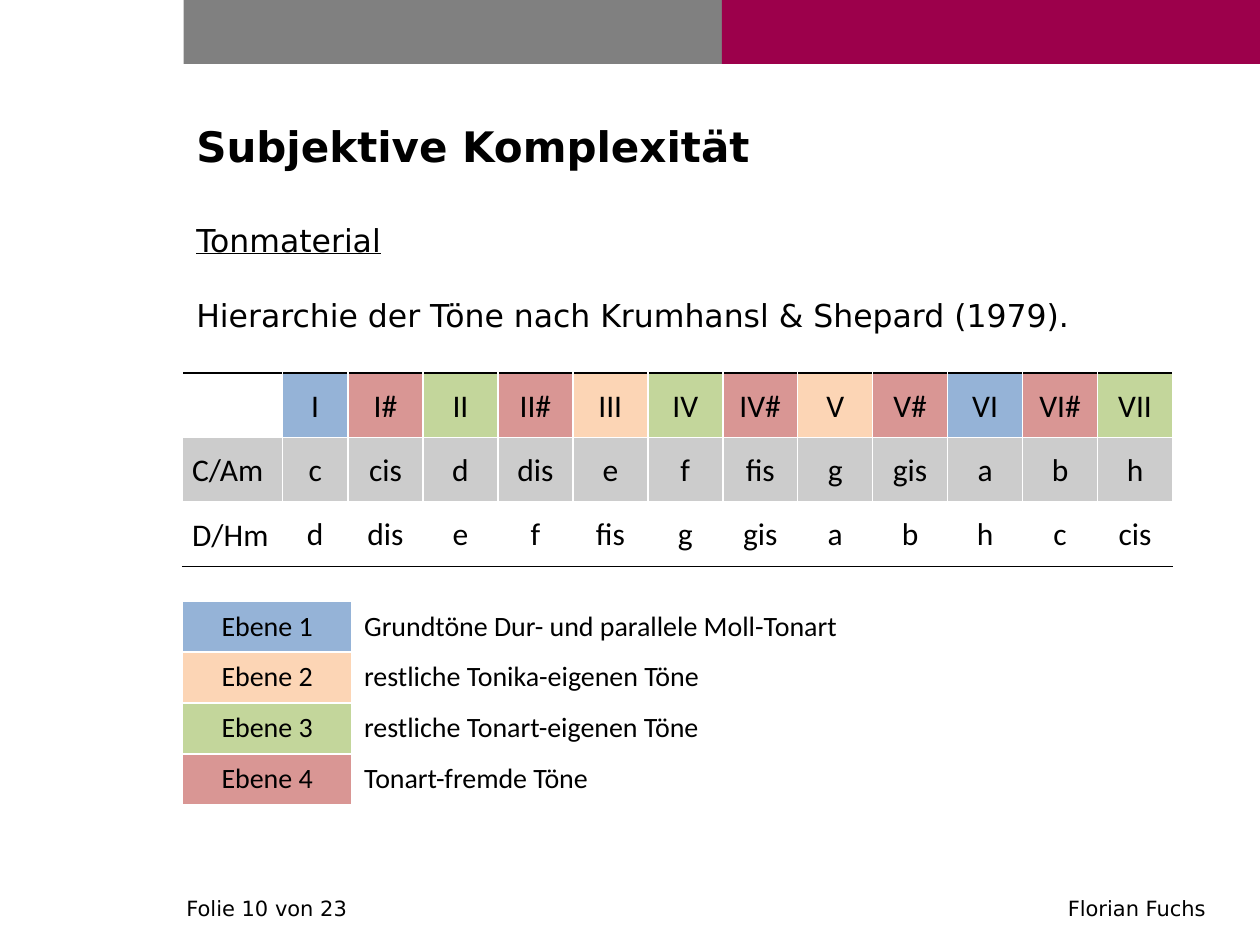
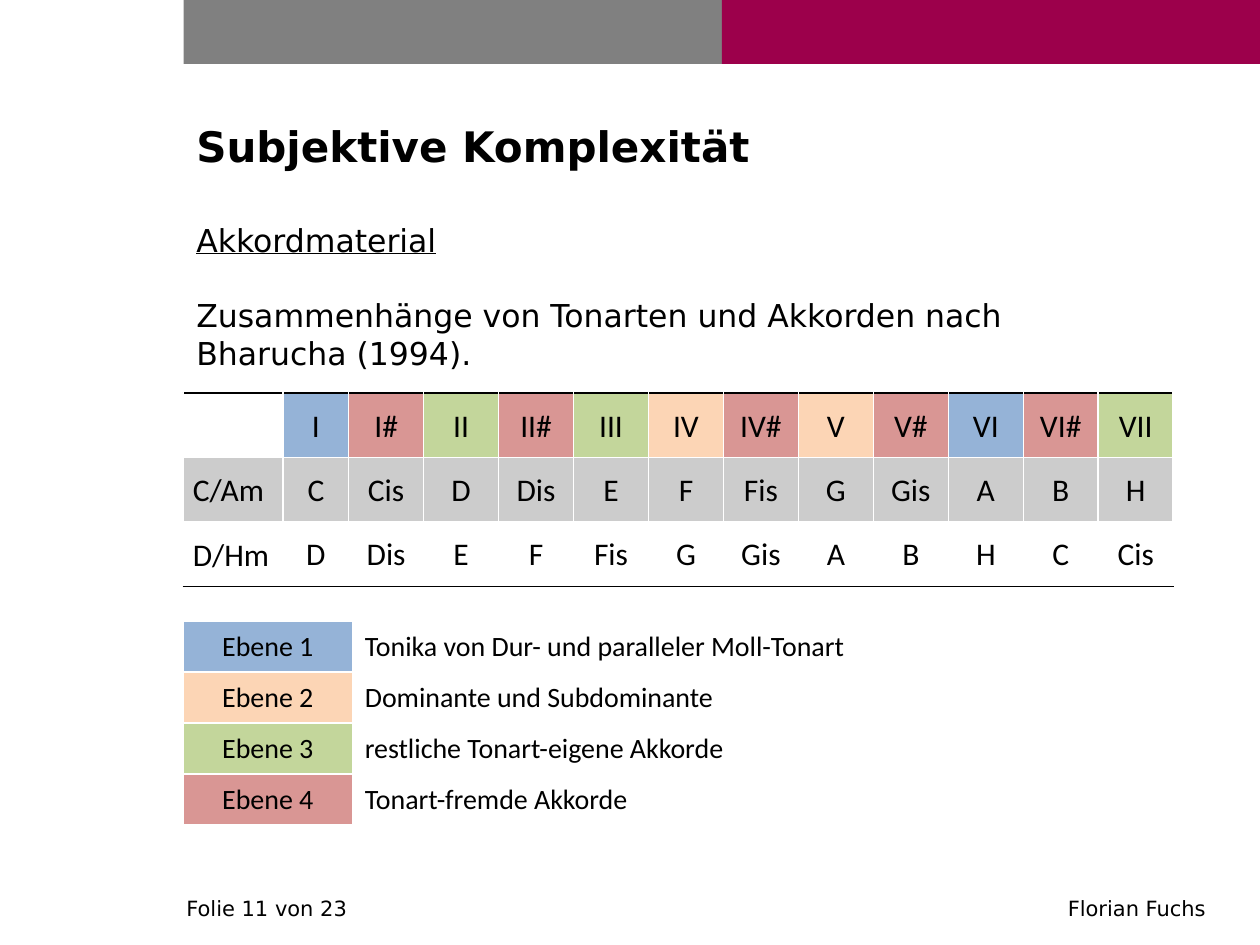
"""Build two slides on tone and chord levels, each with a scale table and a legend."""
import pptx
import pptx.dml.color
import pptx.enum.shapes
import pptx.enum.text
import pptx.oxml
import pptx.oxml.ns
import pptx.util

Pt = pptx.util.Pt
RGB = pptx.dml.color.RGBColor.from_string
ALIGN = pptx.enum.text.PP_ALIGN
MIDDLE = pptx.enum.text.MSO_ANCHOR.MIDDLE
NONE = pptx.enum.text.MSO_AUTO_SIZE.NONE
NS = pptx.oxml.ns.nsdecls("a")
HEX = {
    "black": "000000", "white": "FFFFFF", "gray": "808080", "wine": "9C004B",
    "1": "95B3D7", "2": "FCD5B5", "3": "C3D69B", "4": "D99694",
}
LEFT, WIDE = 105, 566.4
ROW, STEP = 36.9, 29.15
COLS = [57, 37.5] + [42.85] * 11
STEPS = "I I# II II# III IV IV# V V# VI VI# VII".split()
TONES = "c cis d dis e f fis g gis a b h".split()
TITLE = "Subjektive Komplexität"

PAGES = [
    {
        "num": 10, "head": "Tonmaterial", "top": 213.1, "left": 104.4,
        "text": "Hierarchie der Töne nach Krumhansl & Shepard (1979).",
        "tones": TONES, "ranks": "143423424143",
        "keys": ["Grundtöne Dur- und parallele Moll-Tonart", "restliche Tonika-eigenen Töne",
                 "restliche Tonart-eigenen Töne", "Tonart-fremde Töne"],
    },
    {
        "num": 11, "head": "Akkordmaterial", "top": 224.6, "left": 104.8,
        "text": "Zusammenhänge von Tonarten und Akkorden nach Bharucha (1994).",
        "tones": [tone.capitalize() for tone in TONES], "ranks": "143432424143",
        "keys": ["Tonika von Dur- und paralleler Moll-Tonart", "Dominante und Subdominante",
                 "restliche Tonart-eigene Akkorde", "Tonart-fremde Akkorde"],
    },
]


def write(para, text, size=18, font="DejaVu Sans", bold=False, line=False,
          align=ALIGN.LEFT, lead=1, gap=0):
    para.alignment, para.line_spacing, para.space_before = align, lead, Pt(gap)
    run = para.add_run()
    run.text = text
    run.font.size, run.font.name = Pt(size), font
    run.font.bold, run.font.underline = bold, line
    run.font.color.rgb = RGB(HEX["black"])


def paint(cell, fill=None, alpha=None, top="white", base="white"):
    cell.vertical_anchor = MIDDLE
    if fill:
        cell.fill.solid()
        cell.fill.fore_color.rgb = RGB(HEX[fill])
    else:
        cell.fill.background()
    props = cell._tc.get_or_add_tcPr()
    if alpha:
        tint = props.find(".//" + pptx.oxml.ns.qn("a:srgbClr"))
        tint.append(pptx.oxml.parse_xml(f'<a:alpha {NS} val="{alpha * 1000}"/>'))
    sides = {"lnL": "white", "lnR": "white", "lnT": top, "lnB": base}
    for spot, (side, tone) in enumerate(sides.items()):
        props.insert(spot, pptx.oxml.parse_xml(
            f'<a:{side} {NS} w="{Pt(1)}"><a:solidFill><a:srgbClr val="{HEX[tone]}"/>'
            f'</a:solidFill></a:{side}>'))


deck = pptx.Presentation()
deck.slide_width, deck.slide_height = Pt(720), Pt(540)

for page in PAGES:
    slide = deck.slides.add_slide(deck.slide_layouts[1])
    shapes = slide.shapes

    for spot, tone in enumerate(["gray", "wine"]):
        band = shapes.add_shape(pptx.enum.shapes.MSO_SHAPE.RECTANGLE,
                                Pt(LEFT + spot * 307.5), Pt(0), Pt(307.5), Pt(36.5))
        band.shadow.inherit = False
        band.fill.solid()
        band.fill.fore_color.rgb = RGB(HEX[tone])
        band.line.fill.background()

    foot = shapes.add_textbox(Pt(99.4), Pt(508.3), Pt(601), Pt(21.6)).text_frame
    foot.word_wrap = True
    write(foot.paragraphs[0], f"Folie {page['num']} von 23\tFlorian Fuchs", size=12)
    foot.paragraphs[0]._p.get_or_add_pPr().append(pptx.oxml.parse_xml(
        f'<a:tabLst {NS}><a:tab pos="{Pt(503.7)}" algn="l"/></a:tabLst>'))

    title, body = shapes.title, slide.placeholders[1]
    for box, top, high in [(title, 66.2, 33.8), (body, 122.4, 374.4)]:
        box.left, box.top, box.width, box.height = Pt(LEFT), Pt(top), Pt(WIDE), Pt(high)
        box.text_frame.auto_size = NONE
    title.text_frame.vertical_anchor = MIDDLE
    write(title.text_frame.paragraphs[0], TITLE, size=24, bold=True)
    write(body.text_frame.paragraphs[0], page["head"], line=True)
    write(body.text_frame.add_paragraph(), page["text"], gap=21.5)
    for para in body.text_frame.paragraphs:
        props = para._p.get_or_add_pPr()
        props.set("marL", "0")
        props.set("indent", "0")
        props.append(pptx.oxml.parse_xml(f"<a:buNone {NS}/>"))

    tones = page["tones"]
    rows = [[""] + STEPS, ["C/Am"] + tones, ["D/Hm"] + tones[2:] + tones[:2]]
    scale = shapes.add_table(3, 13, Pt(page["left"]), Pt(page["top"]),
                             Pt(sum(COLS)), Pt(3 * ROW)).table
    scale.first_row = scale.horz_banding = False
    for col, wide in zip(scale.columns, COLS):
        col.width = Pt(wide)
    for r, row in enumerate(rows):
        for c, text in enumerate(row):
            cell = scale.cell(r, c)
            fill = page["ranks"][c - 1] if r == 0 and c else "black" if r == 1 else None
            paint(cell, fill, alpha=20 if r == 1 else None,
                  top="white" if r else "black", base="black" if r == 2 else "white")
            tight = r < 2 or c == 0
            if tight:
                cell.margin_left = cell.margin_right = Pt(5.4)
                cell.margin_top = cell.margin_bottom = Pt(0)
            if text:
                write(cell.text_frame.paragraphs[0], text, font="Calibri",
                      align=ALIGN.CENTER if c else ALIGN.LEFT, lead=1.07 if tight else 1)

    legend = shapes.add_table(4, 2, Pt(page["left"]), Pt(page["top"] + 130.3),
                              Pt(WIDE), Pt(4 * STEP)).table
    legend.first_row = legend.horz_banding = False
    legend.columns[0].width, legend.columns[1].width = Pt(96.5), Pt(WIDE - 96.5)
    for r, key in enumerate(page["keys"]):
        name, note = legend.cell(r, 0), legend.cell(r, 1)
        paint(name, str(r + 1))
        paint(note)
        write(name.text_frame.paragraphs[0], f"Ebene {r + 1}", size=16, font="Calibri",
              align=ALIGN.CENTER)
        write(note.text_frame.paragraphs[0], key, size=16, font="Calibri")

deck.save("out.pptx")
